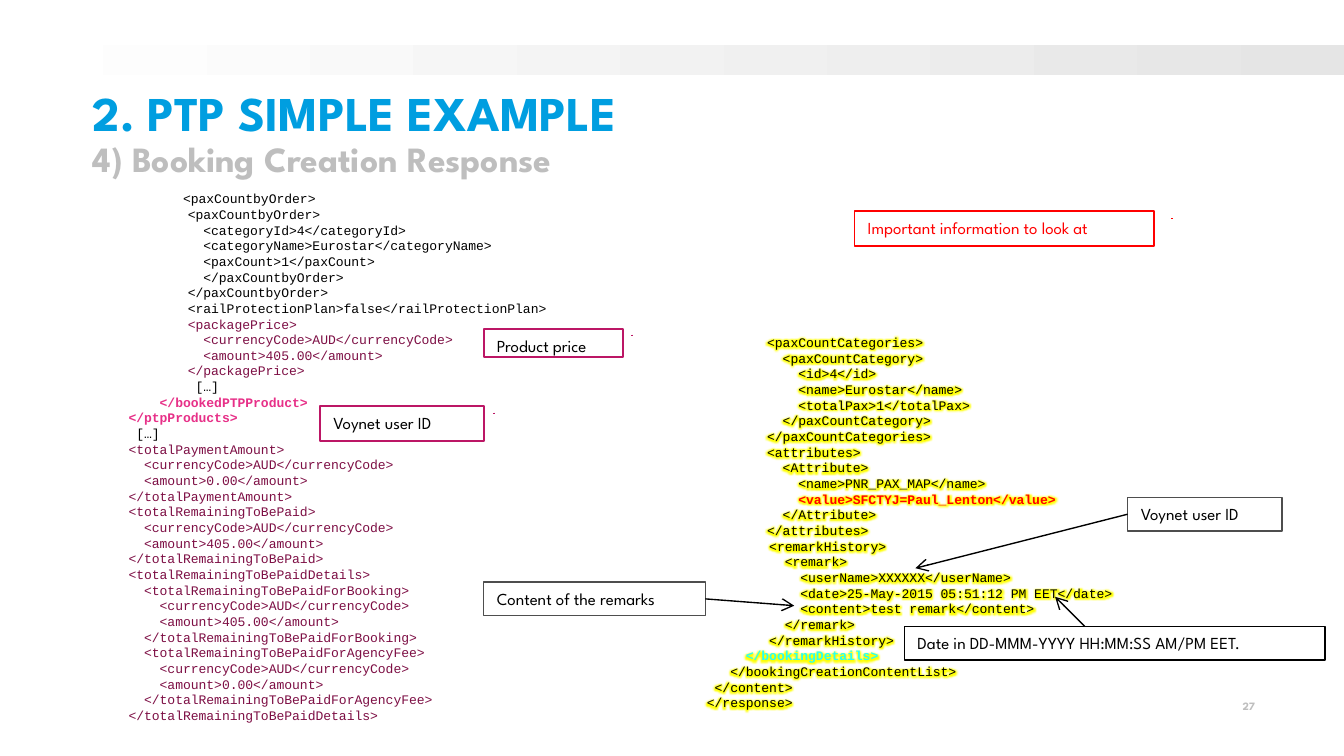
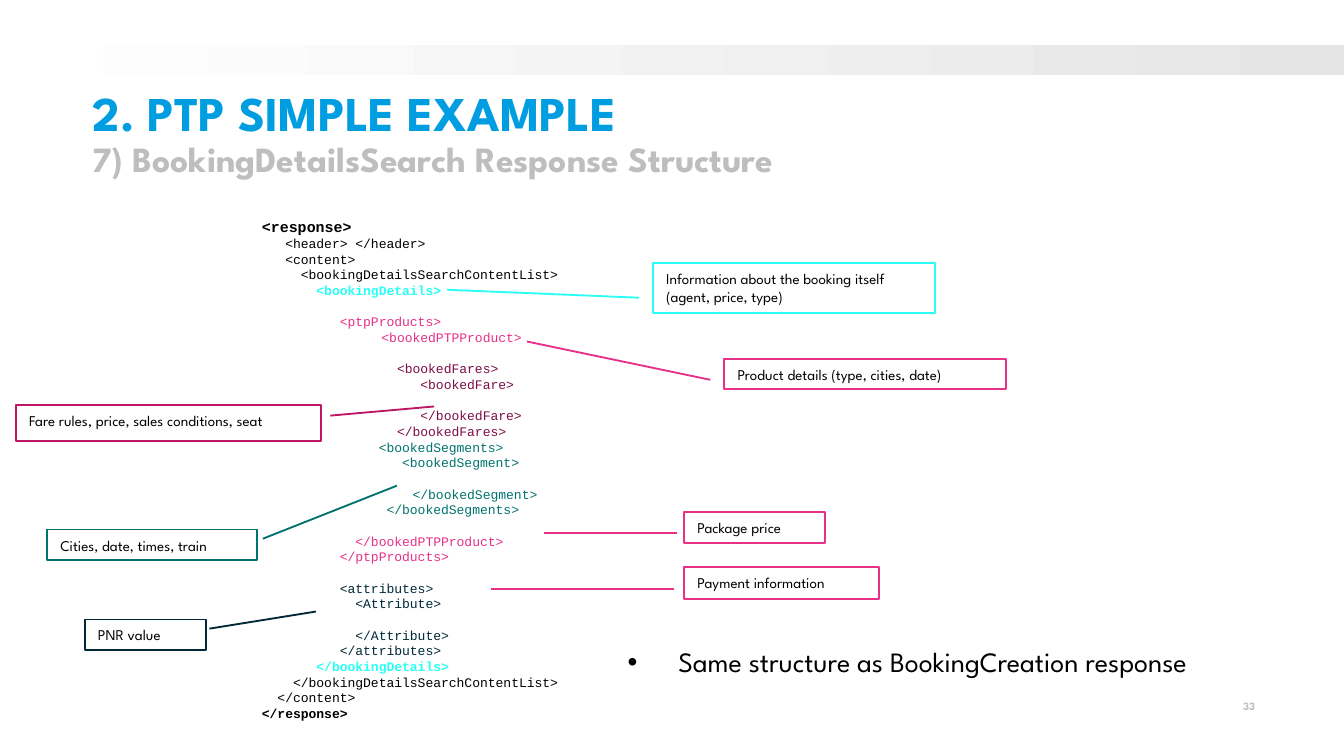
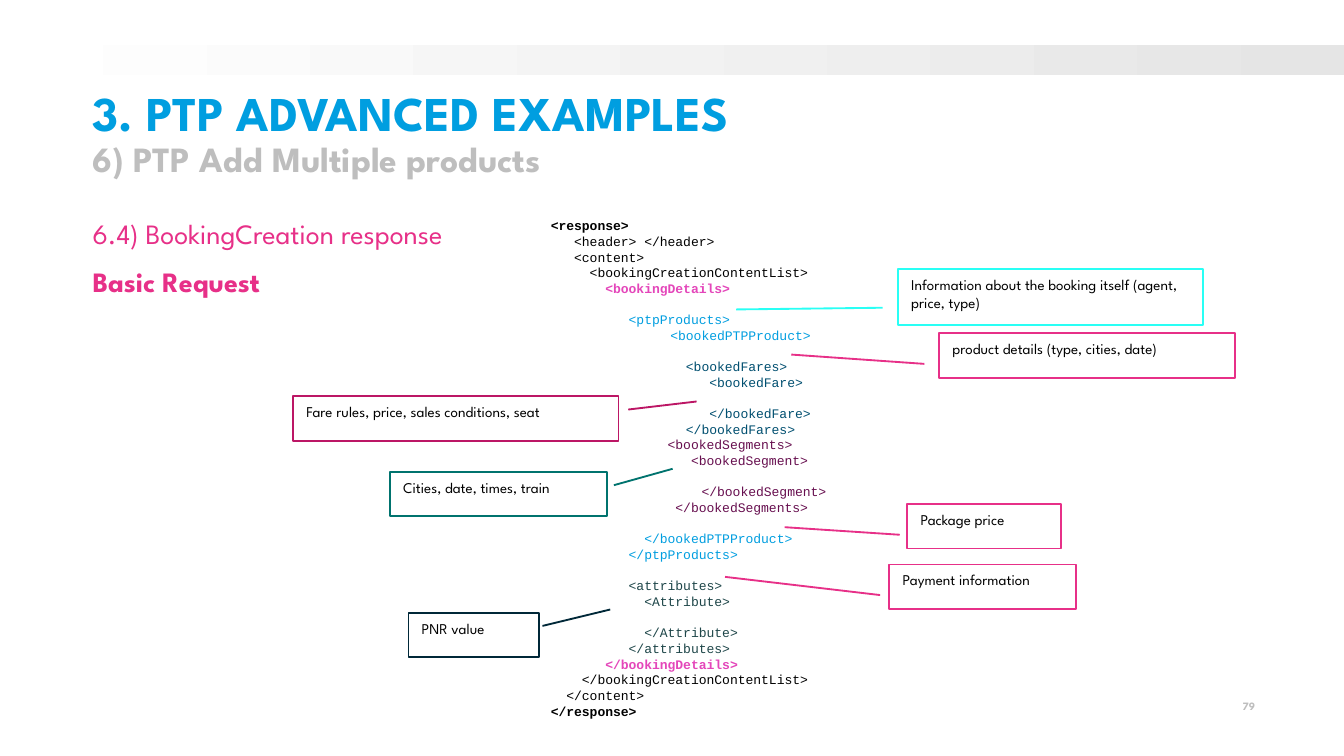
"""Build three slides that explain annotated XML booking responses."""
from dataclasses import dataclass

from lxml import etree
from pptx import Presentation
from pptx import util as u
from pptx.dml import color as dml
from pptx.enum import shapes, text
from pptx.oxml import ns

SANS, MONO = "League Spartan", "Courier New"
BLACK, WHITE, RED, GREY = "000000", "FFFFFF", "FF0000", "BEBEBE"
BLUE, PINK, MAGENTA, CYAN = "009EE0", "E73088", "BC1665", "29FFF5"
WINE, TEAL, NAVY, DARK_GREY = "7D0E44", "00736E", "002838", "4E4E4E"
ON_LEFT, ON_RIGHT, STUB = (0.69, -0.05), (0.3, 1.03), (0.2, 1.06)
FIRST, SECOND = 1.14, 2.26


@dataclass
class Block:
    code: str
    color: str = BLACK
    bold: bool = False
    margin: float = 0
    size: float = 7


def rgb(value):
    return dml.RGBColor.from_string(value)


def add_xml(parent, tag, **attributes):
    return etree.SubElement(parent, ns.qn(tag), attributes)


class Deck:
    def __init__(self):
        self.presentation = Presentation()
        self.presentation.slide_width = u.Cm(25.4)
        self.presentation.slide_height = u.Cm(14.29)
        self.layout = self.presentation.slide_layouts[5]
        self.slide = None

    def add_slide(self, title, subtitle, number):
        self.slide = self.presentation.slides.add_slide(self.layout)
        if len(self.presentation.slides) == 1:
            self.add_band()
        shape = self.slide.shapes.title
        shape.left, shape.top, shape.width, shape.height = map(u.Cm, (1.75, 1.7, 22, 1.73))
        frame = self.prepare(shape, inset=False)
        for line, size, color in ((title, 26, BLUE), (subtitle, 19, GREY)):
            paragraph = self.add_paragraph(frame, line, size, color, bold=True)
            paragraph.line_spacing = 0.9
        frame = self.add_text_box((21.79, 13.21, 1.93, 0.71), inset=False)
        paragraph = self.add_paragraph(frame, number, 6, GREY, bold=True)
        paragraph.alignment = text.PP_ALIGN.RIGHT

    def add_band(self):
        band = self.add_shape(shapes.MSO_SHAPE.RECTANGLE, (0, 0.86, 25.4, 0.56))
        band.fill.gradient()
        band.fill.gradient_angle = 0
        for stop, color in zip(band.fill.gradient_stops, (WHITE, "E5E5E5")):
            stop.color.rgb = rgb(color)
        band.element.nvSpPr.cNvPr.id = 99
        self.layout.shapes.element.insert(2, band.element)

    def prepare(self, shape, inset=True):
        frame = shape.text_frame
        frame.word_wrap = True
        frame.auto_size = text.MSO_AUTO_SIZE.NONE
        frame.vertical_anchor = text.MSO_ANCHOR.TOP
        if not inset:
            frame.margin_left = frame.margin_right = 0
            frame.margin_top = frame.margin_bottom = 0
        return frame

    def add_paragraph(self, frame, line, size, color, font=SANS, bold=False):
        first = frame.paragraphs[0]
        paragraph = frame.add_paragraph() if first.runs else first
        paragraph.add_run().text = line
        paragraph.alignment = text.PP_ALIGN.LEFT
        paragraph.font.name = font
        paragraph.font.size = u.Pt(size)
        paragraph.font.bold = bold
        paragraph.font.color.rgb = rgb(color)
        return paragraph

    def add_text_box(self, box, inset=True):
        return self.prepare(self.slide.shapes.add_textbox(*map(u.Cm, box)), inset)

    def add_shape(self, kind, box, fill=None, line=None, width=1):
        shape = self.slide.shapes.add_shape(kind, *map(u.Cm, box))
        shape.shadow.inherit = False
        if fill:
            shape.fill.solid()
            shape.fill.fore_color.rgb = rgb(fill)
        else:
            shape.fill.background()
        if line:
            shape.line.color.rgb = rgb(line)
            shape.line.width = u.Pt(width)
        else:
            shape.line.fill.background()
        return shape

    def add_label(self, label, box, fill=WHITE, line=DARK_GREY):
        shape = self.add_shape(shapes.MSO_SHAPE.RECTANGLE, box, fill, line, 0.75)
        self.add_paragraph(self.prepare(shape), label, 9, BLACK)
        return shape

    def add_callout(self, label, box, line, root, tip, size=8, color=BLACK):
        shape = self.add_shape(shapes.MSO_SHAPE.LINE_CALLOUT_1, box, WHITE, line)
        for index, value in enumerate(root + tip):
            shape.adjustments[index] = value
        self.add_paragraph(self.prepare(shape), label, size, color)

    def add_arrow(self, start, end, source=None, side=0):
        arrow = self.slide.shapes.add_connector(
            shapes.MSO_CONNECTOR.STRAIGHT, *map(u.Cm, start + end))
        if source:
            arrow.begin_connect(source, side)
        arrow.line.color.rgb = rgb(BLACK)
        arrow.line.width = u.Pt(0.75)
        add_xml(arrow.line._get_or_add_ln(), "a:tailEnd", type="arrow")
        add_xml(arrow.element.spPr, "a:effectLst")

    def add_listing(self, frame, blocks, glow=None):
        gap = 0
        for block in blocks:
            pitch = block.size * 1.2
            for line in block.code.splitlines():
                if not line:
                    gap += pitch
                    continue
                margin = SECOND if line.startswith("\t") else block.margin
                paragraph = self.add_paragraph(
                    frame, line.lstrip("\t"), block.size, block.color, MONO, block.bold)
                properties = paragraph._p.get_or_add_pPr()
                properties.set("marL", str(u.Cm(margin)))
                properties.set("indent", "0")
                paragraph.line_spacing = u.Pt(pitch)
                if gap:
                    paragraph.space_before = u.Pt(gap)
                    gap = 0
                if glow:
                    run = paragraph.runs[0]
                    effects = add_xml(run._r.get_or_add_rPr(), "a:effectLst")
                    halo = add_xml(effects, "a:glow", rad="76200")
                    add_xml(halo, "a:srgbClr", val=glow)

    def add_bullet(self, line, box):
        frame = self.add_text_box(box)
        properties = frame.paragraphs[0]._p.get_or_add_pPr()
        properties.set("marL", str(u.Cm(0.96)))
        properties.set("indent", str(-u.Cm(0.96)))
        add_xml(properties, "a:buFont", typeface="Arial")
        add_xml(properties, "a:buChar", char="•")
        self.add_paragraph(frame, line, 15, BLACK).line_spacing = 2.0


PRODUCT_CODE = [
    Block("       <paxCountbyOrder>", margin=FIRST),
    Block("""<paxCountbyOrder>
  <categoryId>4</categoryId>
  <categoryName>Eurostar</categoryName>
  <paxCount>1</paxCount>
  </paxCountbyOrder>
</paxCountbyOrder>
<railProtectionPlan>false</railProtectionPlan>""", margin=SECOND),
    Block("""<packagePrice>
  <currencyCode>AUD</currencyCode>
  <amount>405.00</amount>
</packagePrice>""", WINE, margin=SECOND),
    Block(" […]", margin=SECOND),
    Block("    </bookedPTPProduct>\n</ptpProducts>", PINK, True, FIRST),
    Block(" […]", margin=FIRST),
    Block("""<totalPaymentAmount>
  <currencyCode>AUD</currencyCode>
  <amount>0.00</amount>
</totalPaymentAmount>
<totalRemainingToBePaid>
  <currencyCode>AUD</currencyCode>
  <amount>405.00</amount>
</totalRemainingToBePaid>
<totalRemainingToBePaidDetails>
  <totalRemainingToBePaidForBooking>
    <currencyCode>AUD</currencyCode>
    <amount>405.00</amount>
  </totalRemainingToBePaidForBooking>
  <totalRemainingToBePaidForAgencyFee>
    <currencyCode>AUD</currencyCode>
    <amount>0.00</amount>
  </totalRemainingToBePaidForAgencyFee>
</totalRemainingToBePaidDetails>""", WINE, margin=FIRST),
]

REMARK_CODE = [
    Block("""<paxCountCategories>
  <paxCountCategory>
    <id>4</id>
    <name>Eurostar</name>
    <totalPax>1</totalPax>
  </paxCountCategory>
</paxCountCategories>
<attributes>
  <Attribute>
    <name>PNR_PAX_MAP</name>""", margin=FIRST),
    Block("    <value>SFCTYJ=Paul_Lenton</value>", RED, True, FIRST),
    Block("  </Attribute>\n</attributes>", margin=FIRST),
    Block("""        <remarkHistory>
          <remark>
            <userName>XXXXXX</userName>
            <date>25-May-2015 05:51:12 PM EET</date>
            <content>test remark</content>
          </remark>
        </remarkHistory>"""),
    Block("     </bookingDetails>", CYAN, True),
    Block("   </bookingCreationContentList>\n </content>\n</response>"),
]


def response_code(name, colors, root_size):
    details, products, fares, segments, attributes = colors
    return [
        Block("<response>", bold=True, size=root_size),
        Block(f"""   <header> </header>
   <content>
     <{name}ContentList>"""),
        Block("       <bookingDetails>", details, True),
        Block("""
          <ptpProducts>
\t<bookedPTPProduct>""", products),
        Block("""
\t  <bookedFares>
\t     <bookedFare>

\t     </bookedFare>
\t  </bookedFares>""", fares),
        Block("""               <bookedSegments>
                  <bookedSegment>

\t    </bookedSegment>
                </bookedSegments>""", segments),
        Block("""
            </bookedPTPProduct>
          </ptpProducts>""", products),
        Block("""
          <attributes>
            <Attribute>

            </Attribute>
          </attributes>""", attributes),
        Block("       </bookingDetails>", details, True),
        Block(f"    </{name}ContentList>\n  </content>"),
        Block("</response>", bold=True),
    ]


def add_response_callouts(deck, product, places):
    labels = [
        ("Information about the booking itself (agent, price, type)", CYAN, ON_LEFT),
        (product, PINK, ON_LEFT),
        ("Fare rules, price, sales conditions, seat", MAGENTA, ON_RIGHT),
        ("Cities, date, times, train", TEAL, ON_RIGHT),
        ("Package price", PINK, ON_LEFT),
        ("Payment information", PINK, ON_LEFT),
        ("PNR value", NAVY, ON_RIGHT),
    ]
    for (label, line, root), (box, tip) in zip(labels, places):
        deck.add_callout(label, box, line, root, tip)


def build_creation_response(deck):
    deck.add_slide("2. PTP SIMPLE EXAMPLE", "4) Booking Creation Response", "27")
    deck.add_listing(deck.add_text_box((1.04, 3.48, 11.13, 10.44)), PRODUCT_CODE)
    panel = deck.add_shape(shapes.MSO_SHAPE.RECTANGLE, (13.11, 6.2, 8.92, 7.44), WHITE)
    deck.add_listing(deck.prepare(panel), REMARK_CODE, glow="FFFF00")
    for label, box, line, color in (
        ("Important information to look at", (16.15, 3.99, 5.66, 0.66), RED, RED),
        ("Voynet user ID", (6.05, 7.67, 3.1, 0.66), MAGENTA, BLACK),
        ("Product price", (9.14, 6.22, 2.64, 0.53), MAGENTA, BLACK),
    ):
        deck.add_callout(label, box, line, STUB, (0.21, 1.06), 9, color)
    user = deck.add_label("Voynet user ID", (21.31, 9.4, 2.92, 0.64))
    deck.add_label("Date in DD-MMM-YYYY HH:MM:SS AM/PM EET.",
                   (17.09, 11.84, 7.95, 0.64), None, BLACK)
    remarks = deck.add_label("Content of the remarks", (9.14, 11, 4.19, 0.64))
    deck.add_arrow((21.31, 9.72), (17.3, 10.74), user, 1)
    deck.add_arrow((20.5, 11.84), (19.94, 11.28))
    deck.add_arrow((13.33, 11.32), (15.01, 11.45), remarks, 3)


def build_search_response(deck):
    deck.add_slide("2. PTP SIMPLE EXAMPLE",
                   "7) BookingDetailsSearch Response Structure", "33")
    code = response_code("bookingDetailsSearch", (CYAN, PINK, WINE, TEAL, NAVY), 8)
    deck.add_listing(deck.add_text_box((4.7, 3.99, 14, 9.88)), code)
    add_response_callouts(deck, "Product details (type, cities, date)", [
        ((12.34, 4.98, 5.33, 0.94), (0.53, -0.73)),
        ((13.69, 6.78, 5.33, 0.58), (-0.56, -0.7)),
        ((0.3, 7.65, 5.77, 0.69), (0.05, 1.37)),
        ((0.89, 10.01, 3.96, 0.58), (-1.43, 1.67)),
        ((12.93, 9.68, 2.67, 0.58), (0.69, -0.99)),
        ((12.93, 10.72, 3.68, 0.61), (0.69, -0.99)),
        ((1.6, 11.71, 2.29, 0.58), (-0.26, 1.91)),
    ])
    deck.add_bullet("Same structure as BookingCreation response", (11.61, 11.43, 13.7, 1.35))


def build_multiple_products(deck):
    deck.add_slide("3. PTP ADVANCED EXAMPLES", "6) PTP Add Multiple products", "79")
    frame = deck.add_text_box((1.75, 4.09, 8, 1.7), inset=False)
    for line, bold in (("6.4) BookingCreation response", False), ("Basic Request", True)):
        deck.add_paragraph(frame, line, 15, PINK, bold=bold).space_after = u.Pt(8)
    colors = ("E446BA", BLUE, "004F70", "670F4F", "1E4649")
    code = response_code("bookingCreation", colors, 7)
    deck.add_listing(deck.add_text_box((10.16, 3.99, 14, 9.83)), code)
    add_response_callouts(deck, "product details (type, cities, date)", [
        ((16.97, 5.08, 5.77, 1.07), (0.72, -0.53)),
        ((17.75, 6.3, 5.59, 0.84), (0.48, -0.5)),
        ((5.54, 7.49, 6.15, 0.84), (0.12, 1.24)),
        ((7.37, 8.92, 4.11, 0.84), (-0.07, 1.3)),
        ((17.15, 9.53, 2.9, 0.84), (0.52, -0.8)),
        ((16.81, 10.67, 3.53, 0.84), (0.28, -0.88)),
        ((7.72, 11.58, 2.46, 0.84), (-0.07, 1.55)),
    ])


def main():
    deck = Deck()
    build_creation_response(deck)
    build_search_response(deck)
    build_multiple_products(deck)
    deck.presentation.save("out.pptx")


if __name__ == "__main__":
    main()
